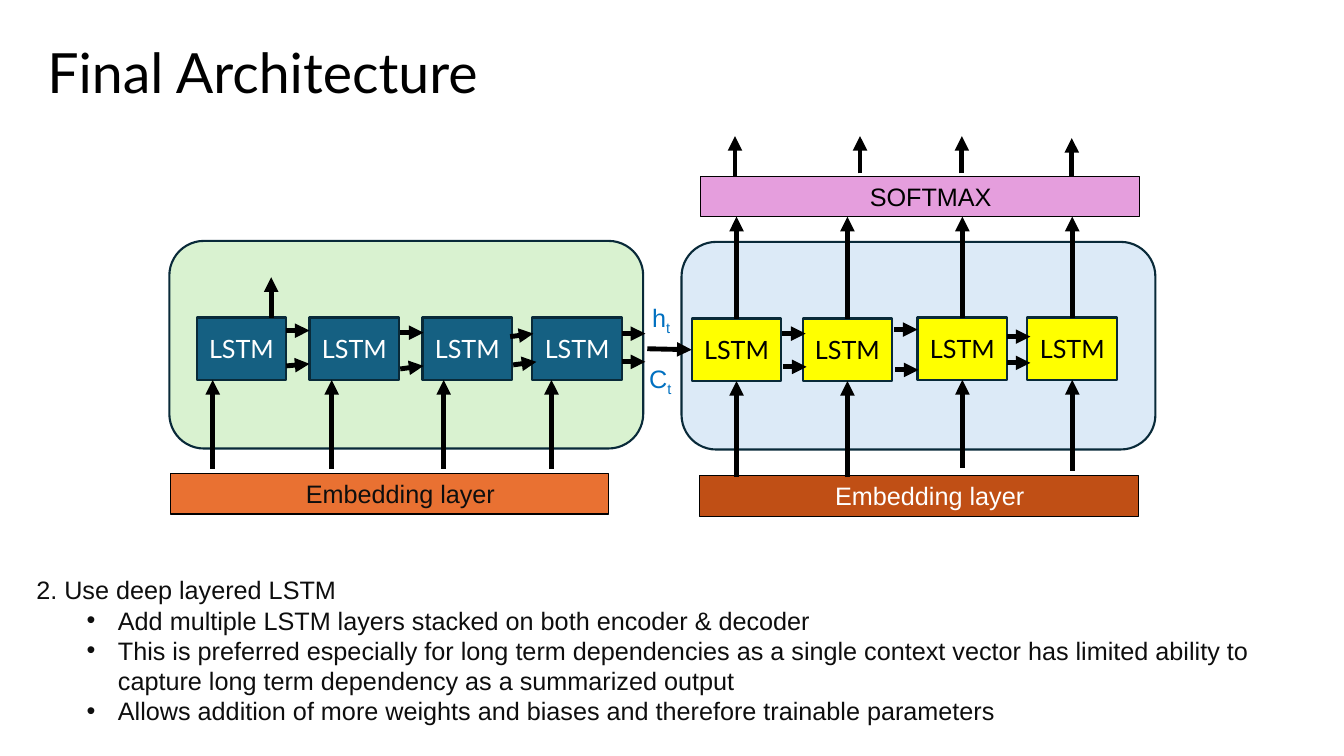
"""Build the slide on the final encoder-decoder LSTM architecture."""
from lxml import etree
from pptx import Presentation, util as u
from pptx.dml.color import RGBColor
from pptx.enum import shapes, text
from pptx.oxml.ns import qn

BLACK = RGBColor(0x00, 0x00, 0x00)
INK = RGBColor(0x0E, 0x0E, 0x0E)
WHITE = RGBColor(0xFF, 0xFF, 0xFF)
NAVY = RGBColor(0x09, 0x2A, 0x39)
TEAL = RGBColor(0x15, 0x60, 0x82)
YELLOW = RGBColor(0xFF, 0xFF, 0x00)
GREEN = RGBColor(0xD9, 0xF2, 0xD0)
PALE_BLUE = RGBColor(0xDC, 0xEA, 0xF7)
ORANGE = RGBColor(0xE9, 0x71, 0x32)
RUST = RGBColor(0xC0, 0x4F, 0x15)
PINK = RGBColor(0xE5, 0x9E, 0xDD)
BLUE = RGBColor(0x00, 0x70, 0xC0)

TITLE = "Final Architecture"
HEADING = "2. Use deep layered LSTM"
POINTS = [
    "Add multiple LSTM layers stacked on both encoder & decoder",
    "This is preferred especially for long term dependencies as a single context "
    "vector has limited ability to capture long term dependency as a summarized output",
    "Allows addition of more weights and biases and therefore trainable parameters",
]
PANELS = [(6.76, 2.4, PALE_BLUE), (1.68, 2.39, GREEN)]
LAYERS = [
    ("Embedding layer", 1.69, 4.7, ORANGE, INK),
    ("Embedding layer", 6.94, 4.72, RUST, WHITE),
    ("SOFTMAX", 6.95, 1.75, PINK, BLACK),
]
ENCODER_CELLS = [(1.95, 3.15), (3.07, 3.15), (4.19, 3.15), (5.28, 3.15)]
DECODER_CELLS = [(6.86, 3.16), (7.96, 3.16), (9.1, 3.15), (10.19, 3.15)]
STATES = [("h", 6.37, 2.95), ("C", 6.34, 3.56)]

STEP = 0.23
STATE_ARROWS = [
    (2.84, 3.28, 0), (2.84, 3.63, -0.02), (3.97, 3.3, 0), (3.97, 3.66, -0.03),
    (5.06, 3.34, -0.03), (5.09, 3.62, -0.03), (6.17, 3.31, 0), (6.17, 3.59, 0),
    (7.76, 3.31, 0), (7.77, 3.64, 0), (8.87, 3.27, 0), (8.88, 3.67, 0),
    (9.99, 3.34, 0), (9.99, 3.6, 0),
]
ENCODER_INPUTS = [2.11, 3.29, 4.4, 5.47]
DECODER_INPUT_STARTS = [4.73, 4.73, 4.64, 4.67]
OUTPUT_ARROWS = [(7.29, 1.75, 1.35), (8.53, 1.72, 1.35), (9.54, 1.72, 1.35),
                 (10.63, 1.75, 1.37), (2.69, 3.15, 2.75)]
CELL_W, CELL_H = 0.89, 0.62
LAYER_W, LAYER_H = 4.35, 0.4
SOFTMAX_BOTTOM = 2.15

deck = Presentation()
deck.slide_width, deck.slide_height = u.Inches(13.33), u.Inches(7.5)
slide = deck.slides.add_slide(deck.slide_layouts[1])


def place(holder, left, top, width, height):
    holder.left, holder.top = u.Inches(left), u.Inches(top)
    holder.width, holder.height = u.Inches(width), u.Inches(height)


def write(paragraph, words, color, font="Arial", size=18):
    run = paragraph.add_run()
    run.text = words
    run.font.name, run.font.size = font, u.Pt(size)
    run.font.color.rgb = color
    return run


def box(preset, left, top, width, height, fill, edge, edge_width):
    block = slide.shapes.add_shape(preset, *map(u.Inches, (left, top, width, height)))
    block.shadow.inherit = False
    block.fill.solid()
    block.fill.fore_color.rgb = fill
    block.line.color.rgb = edge
    block.line.width = u.Pt(edge_width)
    return block


def cell(left, top, fill, color):
    unit = box(shapes.MSO_SHAPE.RECTANGLE, left, top, CELL_W, CELL_H, fill, NAVY, 1.5)
    frame = unit.text_frame
    frame.margin_left = frame.margin_right = u.Inches(0.05)
    frame.paragraphs[0].alignment = text.PP_ALIGN.CENTER
    write(frame.paragraphs[0], "LSTM", color, "Lato")
    return unit


def arrow(x1, y1, x2, y2):
    link = slide.shapes.add_connector(
        shapes.MSO_CONNECTOR.STRAIGHT, *map(u.Inches, (x1, y1, x2, y2)))
    link.line.color.rgb = BLACK
    link.line.width = u.Pt(3.5)
    etree.SubElement(link.line._get_or_add_ln(), qn("a:tailEnd"), type="triangle")
    etree.SubElement(link._element.spPr, qn("a:effectLst"))
    return link


title = slide.shapes.title
place(title, 0.37, 0.38, 11.5, 0.73)
title.text_frame.auto_size = text.MSO_AUTO_SIZE.NONE
title.text_frame.vertical_anchor = text.MSO_ANCHOR.MIDDLE
heading = title.text_frame.paragraphs[0]
heading.alignment, heading.line_spacing = text.PP_ALIGN.LEFT, 0.9
write(heading, TITLE, BLACK, "Lato", 39.6)

body = slide.placeholders[1]
place(body, 0.26, 5.65, 12.71, 1.62)
body.text_frame.auto_size = text.MSO_AUTO_SIZE.NONE
for number, line in enumerate([HEADING] + POINTS):
    paragraph = body.text_frame.add_paragraph() if number else body.text_frame.paragraphs[0]
    layout = paragraph._p.get_or_add_pPr()
    paragraph.space_before, paragraph.line_spacing = u.Pt(0), 1.0
    if number:
        paragraph.level = 1
        layout.set("marL", str(u.Inches(0.81)))
        layout.set("indent", str(u.Inches(-0.31)))
        etree.SubElement(layout, qn("a:buFont"), typeface="Arial")
        etree.SubElement(layout, qn("a:buChar"), char="•")
    else:
        layout.set("marL", "0")
        layout.set("indent", "0")
        etree.SubElement(layout, qn("a:buNone"))
    write(paragraph, line, INK)

for left, top, fill in PANELS:
    box(shapes.MSO_SHAPE.ROUNDED_RECTANGLE, left, top, 4.7, 2.06, fill, NAVY, 1.5)

for left, top in ENCODER_CELLS:
    cell(left, top, TEAL, WHITE)
decoder = [cell(left, top, YELLOW, BLACK) for left, top in DECODER_CELLS]

for label, left, top, fill, color in LAYERS:
    layer = box(shapes.MSO_SHAPE.RECTANGLE, left, top, LAYER_W, LAYER_H, fill, BLACK, 0.75)
    layer.text_frame.margin_left = u.Inches(0.31)
    layer.text_frame.paragraphs[0].alignment = text.PP_ALIGN.CENTER
    write(layer.text_frame.paragraphs[0], label, color)

for symbol, left, top in STATES:
    state = slide.shapes.add_textbox(*map(u.Inches, (left, top, 0.52, 0.38)))
    state.text_frame.word_wrap = True
    state.text_frame.paragraphs[0].line_spacing = 0.9
    write(state.text_frame.paragraphs[0], symbol, BLUE)
    subscript = write(state.text_frame.paragraphs[0], "t", BLUE)
    subscript.font._element.set("baseline", "-25000")

for x, y, rise in STATE_ARROWS:
    arrow(x, y, x + STEP, y + rise)
for x in ENCODER_INPUTS:
    arrow(x, 4.65, x, 3.77)
for x, start, end in OUTPUT_ARROWS:
    arrow(x, start, x, end)
for unit, (left, top), start in zip(decoder, DECODER_CELLS, DECODER_INPUT_STARTS):
    middle = left + CELL_W / 2
    arrow(middle, start, middle, top + CELL_H).end_connect(unit, 2)
    arrow(middle, top, middle, SOFTMAX_BOTTOM).begin_connect(unit, 0)
arrow(6.42, 3.46, 6.86, 3.47).end_connect(decoder[0], 1)

deck.save("out.pptx")
